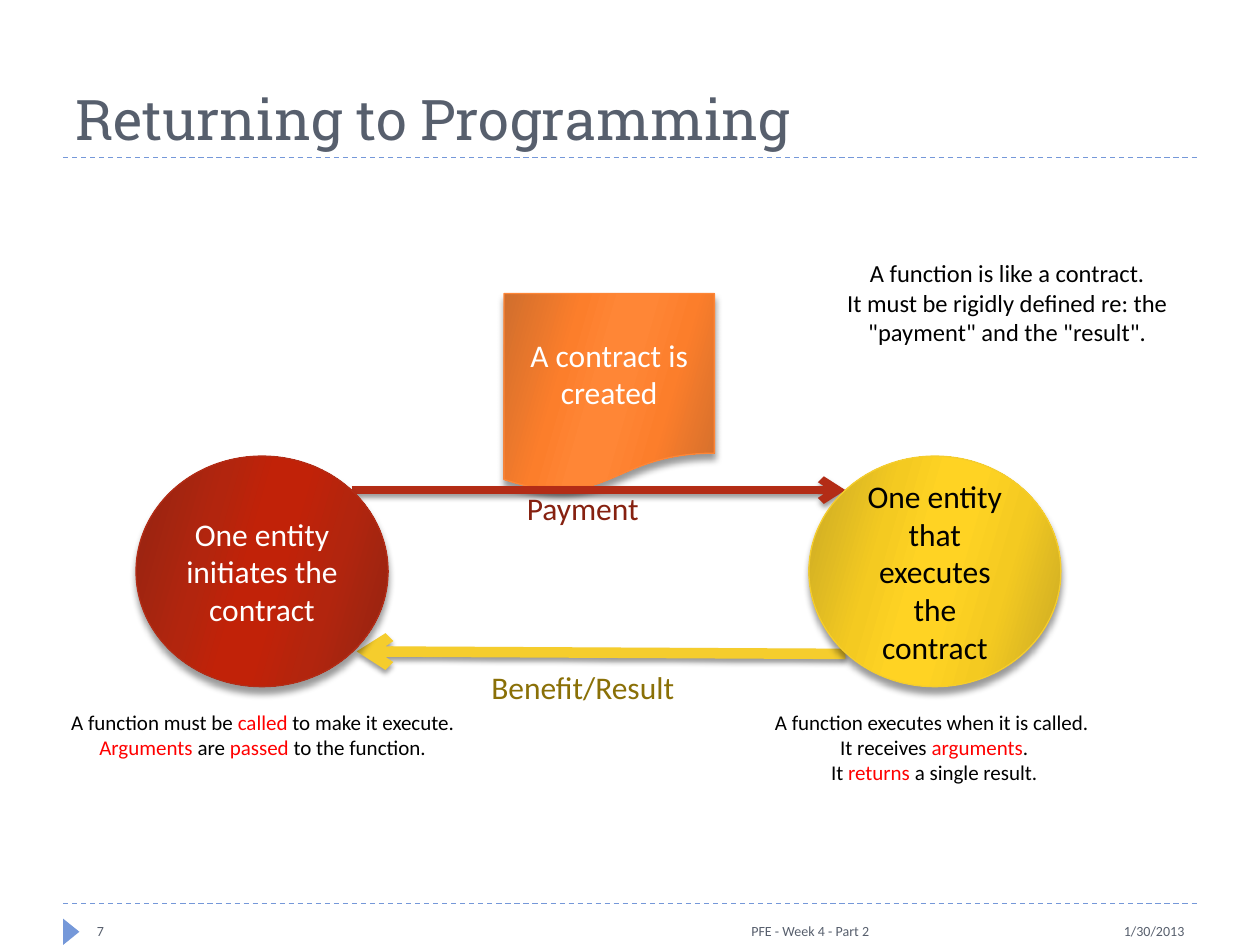
from dataclasses import dataclass
from typing import Any

import pptx
import pptx.dml.color
import pptx.enum.dml
import pptx.enum.shapes
import pptx.enum.text
import pptx.oxml
import pptx.oxml.ns
import pptx.util

Inches = pptx.util.Inches
Align = pptx.enum.text.PP_ALIGN
Anchor = pptx.enum.text.MSO_ANCHOR
Preset = pptx.enum.shapes.MSO_SHAPE
NAMESPACE = pptx.oxml.ns.nsdecls("a")

COLORS = {
    "slate": "575F6D", "blue": "7598D9", "white": "FFFFFF", "black": "000000",
    "highlight": "FF0000", "red": "B32C16", "yellow": "F5CD2D", "orange": "FE8637",
    "payment": "862110", "benefit": "8A7007",
}
# Edge, middle and centre colours of each mirrored gradient
GRADIENTS = {
    "orange": ("D06E2D", "FC7E2B", "FF8636"),
    "red": ("922412", "B2250E", "C12208"),
    "yellow": ("C8A825", "F4CA21", "FFD323"),
}
GRADIENT_POSITIONS = (0, 30, 45, 55, 73, 100)

Run = tuple[str, str]
Paragraph = list[Run]
Box = tuple[float, float, float, float]
Point = tuple[float, float]


@dataclass
class Label:
    box: Box
    paragraphs: list[Paragraph]
    size: float
    align: Any = Align.CENTER
    anchor: Any = Anchor.TOP
    font: str = "Calibri"


@dataclass
class Node:
    preset: Any
    box: Box
    color: str
    text: str
    text_color: str = "white"


@dataclass
class Arrow:
    start: Point
    end: Point
    color: str
    width: float


def rgb(name: str) -> pptx.dml.color.RGBColor:
    return pptx.dml.color.RGBColor.from_string(COLORS[name])


def set_values(target: Any, values: dict[str, Any]) -> None:
    for name, value in values.items():
        setattr(target, name, value)


def write_text(shape: Any, label: Label) -> None:
    frame = shape.text_frame
    set_values(frame, {"word_wrap": True, "vertical_anchor": label.anchor})
    for index, runs in enumerate(label.paragraphs):
        paragraph = frame.add_paragraph() if index else frame.paragraphs[0]
        paragraph.alignment = label.align
        for text, color in runs:
            run = paragraph.add_run()
            run.text = text
            set_values(run.font, {"name": label.font, "size": pptx.util.Pt(label.size)})
            run.font.color.rgb = rgb(color)


def add_effects(shape: Any, blur: float = 0, distance: float = 0) -> None:
    """Give the shape a soft shadow below it, or none when blur is zero."""
    properties = shape._element.spPr
    for old in properties.findall(pptx.oxml.ns.qn("a:effectLst")):
        properties.remove(old)
    shadow = ""
    if blur:
        shadow = (
            f'<a:outerShdw blurRad="{pptx.util.Pt(blur)}" dist="{pptx.util.Pt(distance)}"'
            ' dir="5400000" rotWithShape="0"><a:srgbClr val="000000">'
            '<a:alpha val="40000"/></a:srgbClr></a:outerShdw>'
        )
    properties.append(
        pptx.oxml.parse_xml(f"<a:effectLst {NAMESPACE}>{shadow}</a:effectLst>"))


def fill_gradient(shape: Any, name: str) -> None:
    shape.fill.gradient()
    shape.fill.gradient_angle = 360 - 16
    edge, middle, center = GRADIENTS[name]
    stop_list = shape._element.spPr.find(".//" + pptx.oxml.ns.qn("a:gsLst"))
    for stop in list(stop_list):
        stop_list.remove(stop)
    colors = (edge, middle, center, center, middle, edge)
    for position, color in zip(GRADIENT_POSITIONS, colors):
        stop_list.append(pptx.oxml.parse_xml(
            f'<a:gs {NAMESPACE} pos="{position * 1000}"><a:srgbClr val="{color}"/></a:gs>'))


def add_line(slide: Any, start: Point, end: Point, color: str, width: float) -> Any:
    connector = slide.shapes.add_connector(
        pptx.enum.shapes.MSO_CONNECTOR.STRAIGHT, *map(Inches, start + end))
    connector.line.color.rgb = rgb(color)
    connector.line.width = pptx.util.Pt(width)
    add_effects(connector)
    return connector


def add_label(slide: Any, label: Label) -> None:
    write_text(slide.shapes.add_textbox(*map(Inches, label.box)), label)


def add_node(slide: Any, node: Node) -> None:
    shape = slide.shapes.add_shape(node.preset, *map(Inches, node.box))
    fill_gradient(shape, node.color)
    shape.line.color.rgb = rgb(node.color)
    shape.line.width = pptx.util.Pt(0.75)
    add_effects(shape, 4, 3.4)
    write_text(shape, Label(node.box, [[(node.text, node.text_color)]], 18,
                            anchor=Anchor.MIDDLE))


def add_arrow(slide: Any, arrow: Arrow) -> None:
    connector = add_line(slide, arrow.start, arrow.end, arrow.color, arrow.width)
    connector.line._get_or_add_ln().append(
        pptx.oxml.parse_xml(f'<a:tailEnd {NAMESPACE} type="arrow"/>'))
    add_effects(connector, 3, 2)


def footer(left: float, width: float, text: str, align: Any) -> Label:
    return Label((left, 7.32, width, 0.18), [[(text, "slate")]], 8, align, Anchor.BOTTOM)


CONTRACT = Node(Preset.FLOWCHART_DOCUMENT, (4, 2.33, 1.67, 1.58), "orange",
                "A contract is created")
ARROWS = [
    Arrow((2.79, 3.89), (6.71, 3.89), "red", 4.5),
    Arrow((6.71, 5.19), (2.83, 5.17), "yellow", 6),
]
ENTITIES = [
    Node(Preset.OVAL, (1.08, 3.62, 2, 1.83), "red", "One entity initiates the contract"),
    Node(Preset.OVAL, (6.42, 3.62, 2, 1.83), "yellow",
         "One entity that executes the contract", "black"),
]
LABELS = [
    Label((0.5, 0.17, 9, 1.08), [[("Returning to Programming", "slate")]], 32,
          Align.LEFT, Anchor.BOTTOM, "Roboto Slab"),
    footer(7, 2.5, "1/30/2013", Align.RIGHT),
    footer(3.17, 3.83, "PFE - Week 4 - Part 2", Align.RIGHT),
    footer(0.67, 2.17, "7", Align.LEFT),
    Label((3.75, 3.83, 1.75, 0.4), [[("Payment", "payment")]], 18),
    Label((3.75, 5.25, 1.75, 0.4), [[("Benefit/Result", "benefit")]], 18),
    Label((6.33, 2, 3.33, 0.81), [
        [("A function is like a contract.", "black")],
        [('It must be rigidly defined re: the "payment" and the "result".', "black")],
    ], 14),
    Label((0.42, 5.58, 3.33, 0.5), [
        [("A function must be ", "black"), ("called ", "highlight"),
         ("to make it execute.", "black")],
        [("Arguments ", "highlight"), ("are ", "black"), ("passed ", "highlight"),
         ("to the function.", "black")],
    ], 12),
    Label((6, 5.58, 2.83, 0.71), [
        [("A function executes when it is called.  It receives ", "black"),
         ("arguments", "highlight"), (".", "black")],
        [("It ", "black"), ("returns ", "highlight"), ("a single result.", "black")],
    ], 12),
]


def main() -> None:
    presentation = pptx.Presentation()
    set_values(presentation, {"slide_width": Inches(10), "slide_height": Inches(7.5)})
    slide = presentation.slides.add_slide(presentation.slide_layouts[6])

    # Dashed rules and page marker
    for top in (7.17, 1.25):
        rule = add_line(slide, (0.5, top), (9.5, top), "blue", 0.75)
        rule.line.dash_style = pptx.enum.dml.MSO_LINE.DASH
    marker = slide.shapes.add_shape(
        Preset.ISOSCELES_TRIANGLE, *map(Inches, (0.46, 7.33, 0.21, 0.13)))
    marker.rotation = 90
    marker.fill.solid()
    marker.fill.fore_color.rgb = rgb("blue")
    marker.line.fill.background()
    marker.shadow.inherit = False

    # Contract diagram, with the entities in front of the arrows
    add_node(slide, CONTRACT)
    for arrow in ARROWS:
        add_arrow(slide, arrow)
    for entity in ENTITIES:
        add_node(slide, entity)

    # Title, footer and captions
    for label in LABELS:
        add_label(slide, label)

    presentation.save("out.pptx")


if __name__ == "__main__":
    main()
